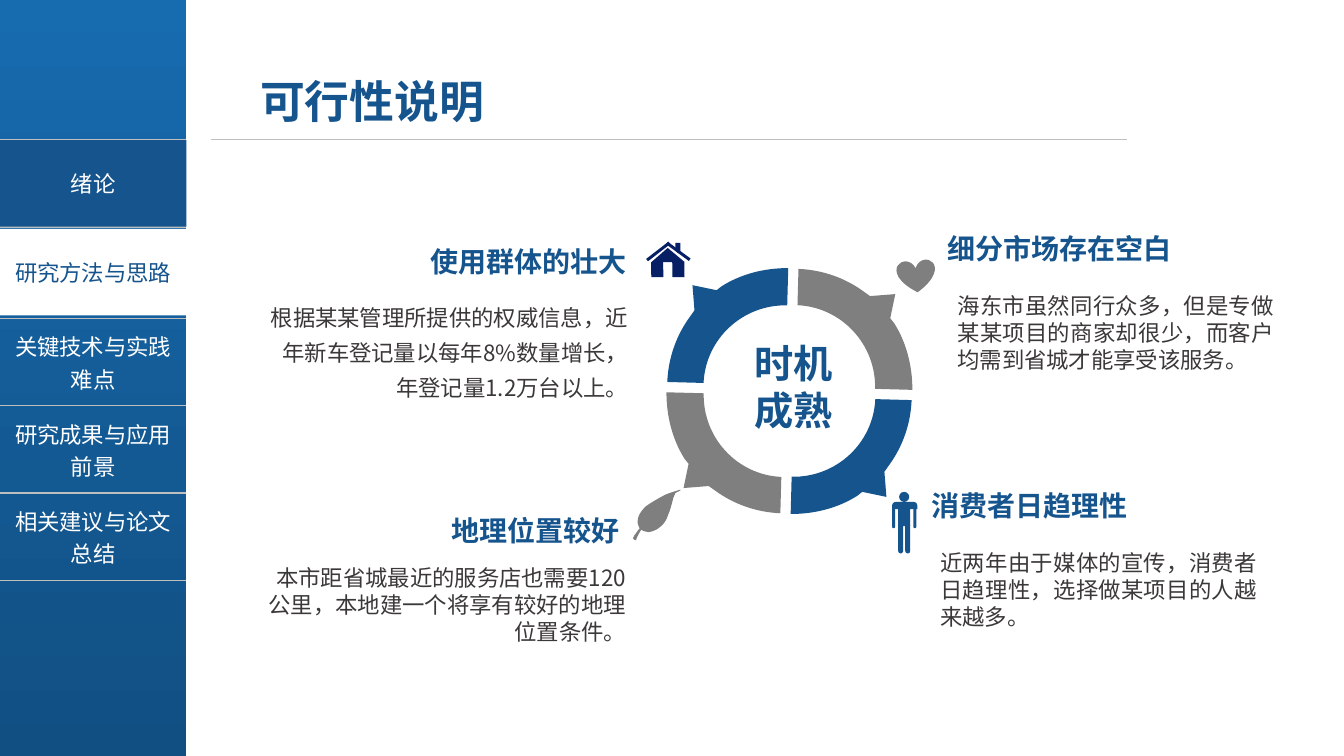
"""Build the feasibility slide: section sidebar, four-part ring and four labelled reasons."""
import dataclasses
import typing

import lxml.etree
import pptx
import pptx.dml.color
import pptx.enum.shapes
import pptx.enum.text
import pptx.oxml
import pptx.oxml.ns
import pptx.util

FONT = "Noto Sans CJK SC"
BLUE, NAVY, GREY, RULE = "15548D", "071F65", "7F7F7F", "BFBFBF"
WHITE, INK = "FFFFFF", "3B3838"
CELL = 91440
COLUMNS, ROWS = 133.33, 75
SHAPE = pptx.enum.shapes.MSO_SHAPE
ALIGN = pptx.enum.text.PP_ALIGN
ANCHOR = pptx.enum.text.MSO_ANCHOR
HUB = (783.2, 388)
Points = list[tuple[float, float]]


class Area(typing.NamedTuple):
    """Columns and rows of the slide grid."""
    left: float
    top: float
    width: float
    height: float

    def lengths(self) -> list[int]:
        return [grid(value) for value in self]


@dataclasses.dataclass
class Label:
    """Text in one area with its formatting."""
    area: Area
    runs: tuple[str, ...]
    size: float
    color: str = BLUE
    bold: bool = True
    align: ALIGN = ALIGN.LEFT
    spacing: float = 1


@dataclasses.dataclass
class Piece:
    """One preset shape of an icon."""
    kind: SHAPE
    area: Area
    color: str
    turn: float = 0
    adjust: tuple[float, ...] = ()


def body(area: Area, *runs: str, align: ALIGN = ALIGN.JUSTIFY, spacing: float = 1) -> Label:
    """Describe an explanatory paragraph."""
    return Label(area, runs, 16, INK, False, align, spacing)


TITLE = Label(Area(25.8, 7.3, 39.9, 5.4), ("可行性说明",), 32)
LABELS = [
    Label(Area(91.4, 48, 24.8, 4.4), ("消费者日趋理性",), 20),
    body(Area(92.3, 54, 33.4, 9.1), "近两年由于媒体的宣传，消费者日趋理性，选择做某项目的人越来越多。"),
    Label(Area(34.6, 23.8, 28.6, 4.4), ("使用群体的壮大",), 20, align=ALIGN.RIGHT),
    body(Area(24.9, 28.9, 38.4, 11.5), "根据某某管理所提供的权威信息，近年新车登记量以每年",
         "8%数量增长，年登记量1.2万台以上。", align=ALIGN.RIGHT, spacing=1.3),
    Label(Area(93, 22.5, 27, 4.4), ("细分市场存在空白",), 20),
    body(Area(94, 28.5, 33.4, 9.1), "海东市虽然同行众多，但是专做某某项目的商家却很少，而客户均需到省城才能享受该服务。"),
    Label(Area(30.6, 50.5, 31.9, 4.4), ("地理位置较好",), 20, align=ALIGN.RIGHT),
    body(Area(24.7, 55.5, 38.4, 9.1), "本市距省城最近的服务店也需要",
         "120公里，本地建一个将享有较好的地理位置条件。", align=ALIGN.RIGHT),
    Label(Area(72.6, 33.2, 12.2, 10.4), ("时机成熟",), 28, align=ALIGN.CENTER),
]

SECTIONS = ["", "", "关键技术与实践难点", "研究成果与应用前景", "相关建议与论文总结"]
SECTION_ROWS = [8.65, 9.1, 8.65, 8.65, 8.65]
TABS = [("绪论", 13.9, BLUE, WHITE), ("研究方法与思路", 22.7, WHITE, BLUE)]

ROUND = (0.5, 0)
POINTER = Piece(SHAPE.ISOSCELES_TRIANGLE, Area(17, 26.3, 1.6, 1.6), WHITE, 270)
PIECES = [
    Piece(SHAPE.HEART, Area(89, 25.8, 3.8, 3.2), GREY, 355.1),
    Piece(SHAPE.OVAL, Area(89.2, 48.8, 1, 1), BLUE),
    Piece(SHAPE.ROUND_2_SAME_RECTANGLE, Area(88.5, 49.8, 2.5, 0.7), BLUE, 0, ROUND),
    Piece(SHAPE.RECTANGLE, Area(89.1, 50.5, 1.2, 1.7), BLUE),
    *[Piece(SHAPE.ROUND_2_SAME_RECTANGLE, Area(left, 52.1, 0.5, 2.8), BLUE, 180, ROUND)
      for left in (89.1, 89.8)],
    *[Piece(SHAPE.ROUND_2_SAME_RECTANGLE, Area(left, 50.4, 0.3, 2), BLUE, 180, ROUND)
      for left in (88.5, 90.6)],
    Piece(SHAPE.RECTANGLE, Area(63.9, 24.8, 2.8, 0.3), NAVY, 322.3),
    Piece(SHAPE.RECTANGLE, Area(65.9, 24.8, 2.8, 0.3), NAVY, 36.3),
    Piece(SHAPE.ISOSCELES_TRIANGLE, Area(64.6, 24.6, 3.3, 1.4), NAVY, 359.3),
    *[Piece(SHAPE.RECTANGLE, Area(left, 26, 1.2, 1.5), NAVY, 359.3) for left in (64.6, 66.7)],
    Piece(SHAPE.SNIP_1_RECTANGLE, Area(67, 24.1, 0.5, 1), NAVY, 179.3, (0.5,)),
]

RING_ARROW = ("M 782 266 L 781 303 C 737 302 700 336 698 380 L 662 379 C 663 355 671 333 684 315 "
              "L 689 308 L 687 283 L 711 288 L 716 284 C 735 272 758 266 782 266")
LEAF = [
    "M 634 523 C 633 521 632 519 633 514 C 634 510 637 506 640 503 C 642 501 652 495 658 492 "
    "C 663 489 672 487 674 486 C 676 486 671 488 670 489 C 669 491 668 491 667 494 "
    "C 666 498 665 506 663 510 C 661 515 659 518 656 521 C 654 524 650 526 647 527 "
    "C 644 528 641 528 639 527 C 636 526 635 525 634 523",
    "M 638 523 C 637 524 634 529 633 531 C 632 533 631 535 631 536 C 630 536 628 535 628 534 "
    "C 628 532 630 531 631 529 C 632 527 636 523 636 522 C 637 522 638 521 638 523",
    "M 675 486 C 677 486 672 488 670 489 C 669 491 669 491 668 494 C 667 498 665 506 663 510 "
    "C 662 514 660 518 657 521 L 652 525 L 647 527 L 643 528 L 650 497 L 653 495 "
    "C 655 494 657 493 658 492 C 664 489 673 487 675 486",
    "M 635 523 C 637 520 641 514 644 511 C 647 507 653 503 653 503 C 654 503 649 507 647 509 "
    "C 645 512 642 516 640 518 C 639 521 637 523 637 524 C 636 525 634 525 635 523",
]


def grid(cells: float) -> int:
    """Convert grid cells to a length."""
    return pptx.util.Emu(round(cells * CELL))


def rgb(color: str) -> pptx.dml.color.RGBColor:
    """Convert a hex string to a colour."""
    return pptx.dml.color.RGBColor.from_string(color)


def paint(shape: typing.Any, color: str) -> None:
    """Give a shape a flat fill without line or shadow."""
    shape.shadow.inherit = False
    shape.fill.solid()
    shape.fill.fore_color.rgb = rgb(color)
    shape.line.fill.background()


def write(frame: typing.Any, label: Label) -> None:
    """Write the runs of a label into a text frame."""
    frame.word_wrap = True
    para = frame.paragraphs[0]
    para.alignment = label.align
    para.line_spacing = label.spacing
    for text in label.runs:
        span = para.add_run()
        span.text = text
        span.font.name = FONT
        span.font.size = pptx.util.Pt(label.size)
        span.font.bold = label.bold
        span.font.color.rgb = rgb(label.color)
        latin = span.font._element.find(pptx.oxml.ns.qn("a:latin"))
        latin.addnext(lxml.etree.Element(pptx.oxml.ns.qn("a:ea"), typeface=FONT))


def quarter_turns(points: Points, turns: int) -> Points:
    """Rotate points clockwise about the ring's hub."""
    for _ in range(turns):
        points = [(HUB[0] - y + HUB[1], HUB[1] + x - HUB[0]) for x, y in points]
    return points


def outline(page: typing.Any, path: str, color: str, turns: int = 0) -> None:
    """Draw a closed outline of lines and Bezier curves given in tenths of a grid cell."""
    commands = [step.split() for step in path.replace("L", "|L").replace("C", "|C").split("|")]
    numbers = [float(number) for command in commands for number in command[1:]]
    points = quarter_turns(list(zip(numbers[::2], numbers[1::2])), turns)
    fine = [(x * 100, y * 100) for x, y in points]
    builder = page.shapes.build_freeform(*fine[0], scale=CELL / 1000)
    builder.add_line_segments(fine[1:], close=True)
    shape = builder.convert_to_shape()
    segments = iter(list(shape._element.iter(pptx.oxml.ns.qn("a:lnTo"))))
    for kind, *_ in commands[1:]:
        segment = next(segments)
        if kind == "C":
            segment.addprevious(curve := lxml.etree.Element(pptx.oxml.ns.qn("a:cubicBezTo")))
            for part in (segment, next(segments), next(segments)):
                curve.append(part[0])
                part.getparent().remove(part)
    paint(shape, color)


def add_piece(page: typing.Any, piece: Piece) -> None:
    """Draw one preset shape."""
    shape = page.shapes.add_shape(piece.kind, *piece.area.lengths())
    paint(shape, piece.color)
    shape.rotation = piece.turn
    for index, value in enumerate(piece.adjust):
        shape.adjustments[index] = value


def add_sidebar(page: typing.Any) -> None:
    """Draw the gradient sidebar, its section table and the two tabs."""
    bar = page.shapes.add_shape(SHAPE.RECTANGLE, *Area(0, 0, 18.5, ROWS).lengths())
    paint(bar, BLUE)
    bar.fill.gradient()
    bar.fill.gradient_angle = 270
    for stop, color in zip(bar.fill.gradient_stops, ("176BAF", "114F82")):
        stop.color.rgb = rgb(color)
    area = Area(0, 13.87, 18.5, sum(SECTION_ROWS))
    table = page.shapes.add_table(len(SECTIONS), 1, *area.lengths()).table
    table.first_row = table.horz_banding = False
    for index, (text, height) in enumerate(zip(SECTIONS, SECTION_ROWS)):
        table.rows[index].height = grid(height)
        cell = table.cell(index, 0)
        cell.fill.background()
        cell.vertical_anchor = ANCHOR.MIDDLE
        if text:
            write(cell.text_frame, Label(area, (text,), 16, WHITE, False, ALIGN.CENTER))
        for position, side in enumerate("LRTB"):
            fill = "<a:noFill/>" if side in "LR" else f'<a:solidFill><a:srgbClr val="{RULE}"/></a:solidFill>'
            border = f'<a:ln{side} {pptx.oxml.ns.nsdecls("a")} w="12700">{fill}</a:ln{side}>'
            cell._tc.get_or_add_tcPr().insert(position, pptx.oxml.parse_xml(border))
    for text, top, fill_color, color in TABS:
        area = Area(0, top, 18.5, 8.6)
        tab = page.shapes.add_shape(SHAPE.RECTANGLE, *area.lengths())
        paint(tab, fill_color)
        tab.text_frame.vertical_anchor = ANCHOR.MIDDLE
        write(tab.text_frame, Label(area, (text,), 16, color, False, ALIGN.CENTER))
    add_piece(page, POINTER)


def add_heading(page: typing.Any) -> None:
    """Place the title and the rule below it."""
    title = page.shapes.title
    title.left, title.top, title.width, title.height = TITLE.area.lengths()
    frame = title.text_frame
    frame.margin_left = frame.margin_top = frame.margin_right = frame.margin_bottom = 0
    frame.vertical_anchor = ANCHOR.TOP
    frame.auto_size = pptx.enum.text.MSO_AUTO_SIZE.NONE
    write(frame, TITLE)
    ends = [grid(value) for value in (20.9, 13.87, 111.8, 13.87)]
    line = page.shapes.add_connector(pptx.enum.shapes.MSO_CONNECTOR.STRAIGHT, *ends)
    line.line.color.rgb = rgb(RULE)
    line.line.width = pptx.util.Pt(0.5)
    lxml.etree.SubElement(line._element.spPr, pptx.oxml.ns.qn("a:effectLst"))


def main() -> None:
    """Build and save the deck."""
    deck = pptx.Presentation()
    deck.slide_width, deck.slide_height = grid(COLUMNS), grid(ROWS)
    page = deck.slides.add_slide(deck.slide_layouts[5])
    add_sidebar(page)
    add_heading(page)
    for turns in range(4):
        outline(page, RING_ARROW, (BLUE, GREY)[turns % 2], turns)
    for piece in PIECES:
        add_piece(page, piece)
    for path in LEAF:
        outline(page, path, GREY)
    for label in LABELS:
        write(page.shapes.add_textbox(*label.area.lengths()).text_frame, label)
    deck.save("out.pptx")


if __name__ == "__main__":
    main()
